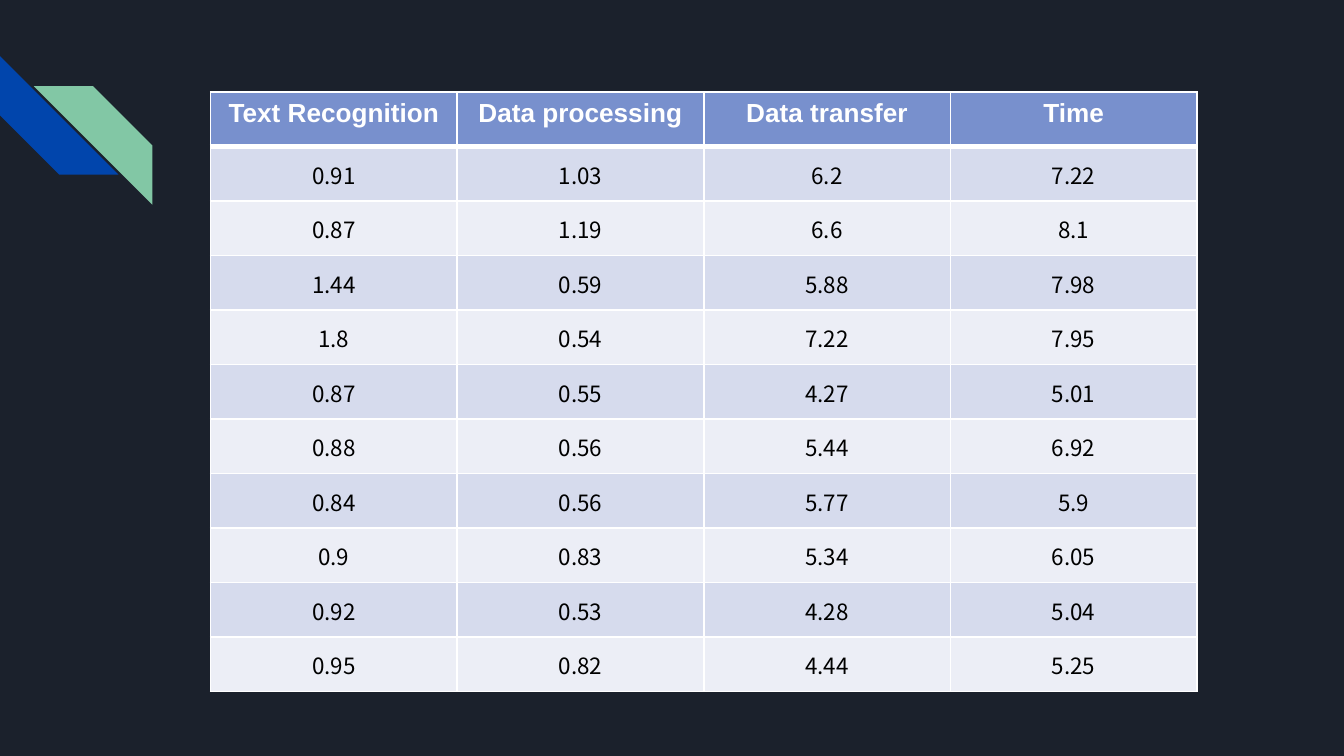
from dataclasses import dataclass

from lxml.etree import SubElement
from pptx import Presentation
from pptx.dml.color import RGBColor
from pptx.enum.shapes import MSO_SHAPE as Preset
from pptx.enum.text import MSO_ANCHOR as Anchor, PP_ALIGN as Align
from pptx.oxml.ns import qn
from pptx.slide import Slide
from pptx.table import _Cell as Cell
from pptx.util import Cm, Pt

WHITE = "FFFFFF"
HEADINGS = ("Text Recognition", "Data processing", "Data transfer", "Time")
MEASUREMENTS = (
    ("0.91", "1.03", "6.2", "7.22"),
    ("0.87", "1.19", "6.6", "8.1"),
    ("1.44", "0.59", "5.88", "7.98"),
    ("1.8", "0.54", "7.22", "7.95"),
    ("0.87", "0.55", "4.27", "5.01"),
    ("0.88", "0.56", "5.44", "6.92"),
    ("0.84", "0.56", "5.77", "5.9"),
    ("0.9", "0.83", "5.34", "6.05"),
    ("0.92", "0.53", "4.28", "5.04"),
    ("0.95", "0.82", "4.44", "5.25"),
)
COLUMN_WIDTH, ROW_HEIGHT = Cm(4.66), Cm(1.03)
STRIPE_SIZE = Cm(2.24)


@dataclass(frozen=True)
class Stripe:
    left: float
    top: float
    color: str
    rotation: int = 0
    mirrored: bool = False


@dataclass(frozen=True)
class RowStyle:
    fill: str
    color: str
    font: dict
    cell: dict
    top_border: float = 1
    bottom_border: float = 1


STRIPES = (
    Stripe(0, 1.06, "0145AC", rotation=270),
    Stripe(0.64, 1.63, "82C7A5", mirrored=True),
)
HEADER_STYLE = RowStyle(
    "7890CD", WHITE,
    {"name": "Arial", "size": Pt(14), "bold": True},
    {"vertical_anchor": Anchor.TOP},
    bottom_border=3,
)
BODY_FONT = {"name": "Noto Sans CJK SC", "size": Pt(12), "bold": False}
BODY_CELL = {
    "vertical_anchor": Anchor.MIDDLE,
    "margin_left": Cm(0.03),
    "margin_right": Cm(0.03),
    "margin_top": Cm(0.03),
    "margin_bottom": 0,
}


def paint(fill, color: str) -> None:
    fill.solid()
    fill.fore_color.rgb = RGBColor.from_string(color)


def apply(target, values: dict) -> None:
    for attribute, value in values.items():
        setattr(target, attribute, value)


def draw_stripe(slide: Slide, stripe: Stripe) -> None:
    shape = slide.shapes.add_shape(
        Preset.DIAGONAL_STRIPE, Cm(stripe.left), Cm(stripe.top), STRIPE_SIZE, STRIPE_SIZE
    )
    shape.shadow.inherit = False
    shape.rotation = stripe.rotation
    shape.adjustments[0] = 0.5
    paint(shape.fill, stripe.color)
    shape.line.fill.background()
    if stripe.mirrored:
        shape.element.spPr.find(qn("a:xfrm")).set("flipH", "1")


def add_borders(cell: Cell, top: float, bottom: float) -> None:
    """Draw white borders; they must come before the fill in the cell properties."""
    properties = cell._tc.get_or_add_tcPr()
    widths = {"a:lnL": 1, "a:lnR": 1, "a:lnT": top, "a:lnB": bottom}
    for position, (tag, width) in enumerate(widths.items()):
        border = SubElement(properties, qn(tag), w=str(Pt(width)))
        SubElement(SubElement(border, qn("a:solidFill")), qn("a:srgbClr"), val=WHITE)
        properties.insert(position, border)


def fill_cell(cell: Cell, text: str, style: RowStyle) -> None:
    cell.text = text
    apply(cell, style.cell)
    paragraph = cell.text_frame.paragraphs[0]
    paragraph.alignment = Align.CENTER
    font = paragraph.runs[0].font
    apply(font, style.font)
    paint(font.fill, style.color)
    paint(cell.fill, style.fill)
    add_borders(cell, style.top_border, style.bottom_border)


def body_style(index: int) -> RowStyle:
    return RowStyle(
        "ECEEF6" if index % 2 else "D6DBED", "000000", BODY_FONT, BODY_CELL,
        top_border=1 if index else HEADER_STYLE.bottom_border,
    )


def draw_timings(slide: Slide) -> None:
    rows = [(HEADINGS, HEADER_STYLE)]
    rows += [(texts, body_style(i)) for i, texts in enumerate(MEASUREMENTS)]
    timings = slide.shapes.add_table(
        len(rows), len(HEADINGS), Cm(3.98), Cm(1.74),
        COLUMN_WIDTH * len(HEADINGS), ROW_HEIGHT * len(rows),
    ).table
    for column in timings.columns:
        column.width = COLUMN_WIDTH
    for row, (texts, style) in zip(timings.rows, rows):
        row.height = ROW_HEIGHT
        for cell, text in zip(row.cells, texts):
            fill_cell(cell, text, style)


def main() -> None:
    presentation = Presentation()
    presentation.slide_width, presentation.slide_height = Cm(25.4), Cm(14.29)
    slide = presentation.slides.add_slide(presentation.slide_layouts[6])
    paint(slide.background.fill, "1B212C")
    for stripe in STRIPES:
        draw_stripe(slide, stripe)
    draw_timings(slide)
    presentation.save("out.pptx")


if __name__ == "__main__":
    main()
